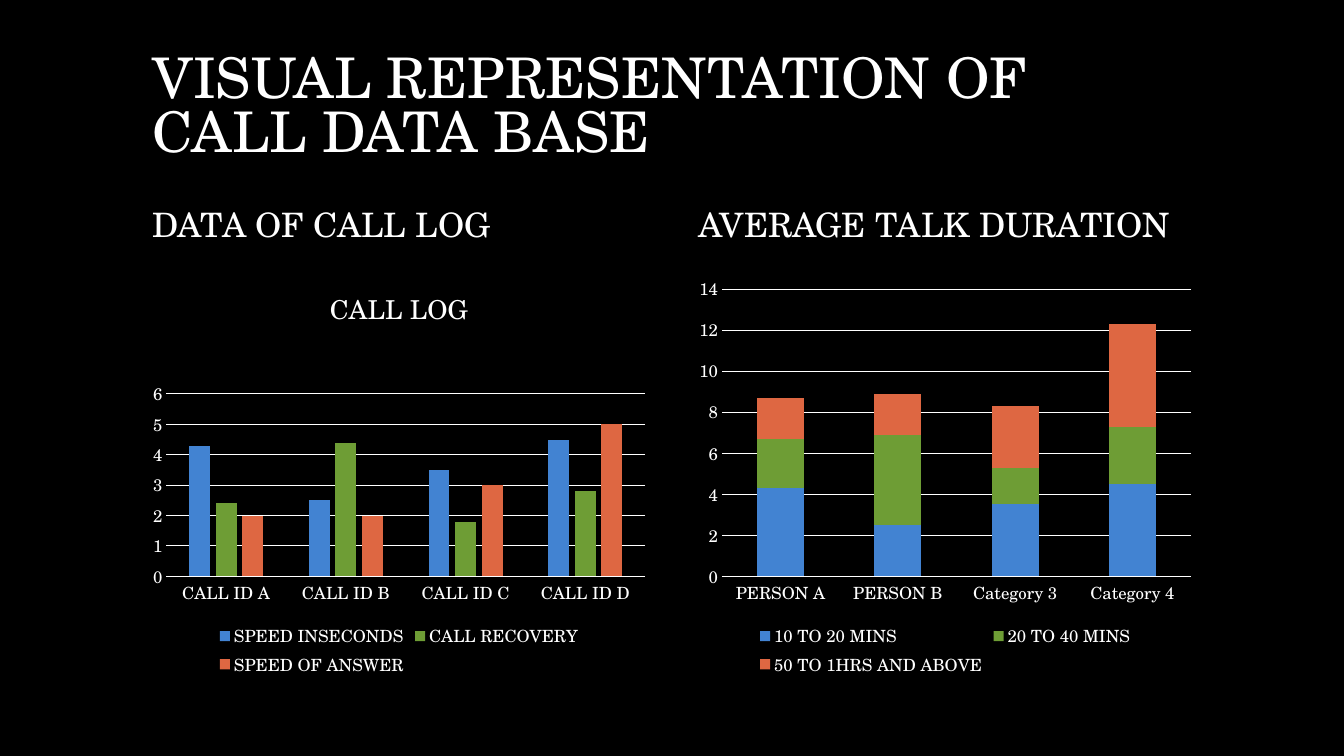
from pptx import Presentation
from pptx.chart.data import CategoryChartData
from pptx.dml.color import RGBColor
from pptx.enum.chart import XL_CHART_TYPE, XL_LEGEND_POSITION, XL_TICK_MARK
from pptx.enum.text import MSO_ANCHOR
from pptx.util import Inches, Pt

FONT = "TeX Gyre Schola"
COLORS = {
    "background": "000000",
    "text": "FFFFFF",
    "first": "4283D2",
    "second": "6E9D35",
    "third": "DE6742",
}
SERIES_COLORS = ("first", "second", "third")
SERIES_VALUES = ((4.3, 2.5, 3.5, 4.5), (2.4, 4.4, 1.8, 2.8), (2, 2, 3, 5))

# Grid of twelve cells to the inch
LEFT_COLUMN, RIGHT_COLUMN = 17, 82
PANEL_WIDTH, TITLE_WIDTH = 61, 126
TITLE_ROW, HEADING_ROW, CHART_ROW = 5, 22, 32
TITLE_HEIGHT, HEADING_HEIGHT, CHART_HEIGHT = 15, 10, 49


def cells(*counts):
    return [Inches(count / 12) for count in counts]


def color(name):
    return RGBColor.from_string(COLORS[name])


def style_font(font, size):
    font.name = FONT
    font.size = Pt(size)
    font.bold = False
    font.color.rgb = color("text")


def add_heading(slide, place, wording, size, anchor, spacing):
    frame = slide.shapes.add_textbox(*cells(*place)).text_frame
    frame.word_wrap = True
    frame.vertical_anchor = anchor
    paragraph = frame.paragraphs[0]
    paragraph.line_spacing = spacing
    run = paragraph.add_run()
    run.text = wording
    style_font(run.font, size)


def style_axes(chart):
    for axis in (chart.category_axis, chart.value_axis):
        axis.major_tick_mark = XL_TICK_MARK.NONE
        axis.minor_tick_mark = XL_TICK_MARK.NONE
        style_font(axis.tick_labels.font, 12)
    chart.value_axis.format.line.fill.background()
    chart.value_axis.has_major_gridlines = True
    for line in (chart.category_axis.format.line,
                 chart.value_axis.major_gridlines.format.line):
        line.color.rgb = color("text")
        line.width = Pt(0.75)


def add_call_chart(slide, column, kind, categories, names, gap, overlap, title=None):
    call_data = CategoryChartData()
    call_data.categories = categories
    for name, values in zip(names, SERIES_VALUES):
        call_data.add_series(name, values)
    place = cells(column, CHART_ROW, PANEL_WIDTH, CHART_HEIGHT)
    chart = slide.shapes.add_chart(kind, *place, call_data).chart
    style_font(chart.font, 10)
    style_axes(chart)

    # Title and legend
    chart.has_title = title is not None
    if title:
        run = chart.chart_title.text_frame.paragraphs[0].add_run()
        run.text = title
        style_font(run.font, 18.6)
        # An empty second line keeps the title's depth
        chart.chart_title.text_frame.add_paragraph()
        chart.chart_title.include_in_layout = False
    chart.has_legend = True
    chart.legend.position = XL_LEGEND_POSITION.BOTTOM
    chart.legend.include_in_layout = False
    style_font(chart.legend.font, 12)

    # Columns
    plot = chart.plots[0]
    plot.vary_by_categories = False
    plot.gap_width = gap
    plot.overlap = overlap
    for series, name in zip(plot.series, SERIES_COLORS):
        series.format.fill.solid()
        series.format.fill.fore_color.rgb = color(name)


def main():
    presentation = Presentation()
    presentation.slide_width = Inches(13.33)
    presentation.slide_height = Inches(7.5)
    slide = presentation.slides.add_slide(presentation.slide_layouts[6])
    slide.background.fill.solid()
    slide.background.fill.fore_color.rgb = color("background")

    # Headings
    add_heading(slide, (LEFT_COLUMN, TITLE_ROW, TITLE_WIDTH, TITLE_HEIGHT),
                "VISUAL REPRESENTATION OF CALL DATA BASE", 40, MSO_ANCHOR.BOTTOM, 0.8)
    for column, wording in ((LEFT_COLUMN, "DATA OF CALL LOG"),
                            (RIGHT_COLUMN, "AVERAGE TALK DURATION")):
        add_heading(slide, (column, HEADING_ROW, PANEL_WIDTH, HEADING_HEIGHT),
                    wording, 24, MSO_ANCHOR.MIDDLE, 0.9)

    # Charts
    add_call_chart(slide, LEFT_COLUMN, XL_CHART_TYPE.COLUMN_CLUSTERED,
                   [f"CALL ID {letter}" for letter in "ABCD"],
                   ("SPEED INSECONDS", "CALL RECOVERY", "SPEED OF ANSWER"),
                   219, -27, "CALL LOG")
    add_call_chart(slide, RIGHT_COLUMN, XL_CHART_TYPE.COLUMN_STACKED,
                   ("PERSON A", "PERSON B", "Category 3", "Category 4"),
                   ("10 TO 20 MINS", "20 TO 40 MINS", "50 TO 1HRS AND ABOVE"),
                   150, 100)

    presentation.save("out.pptx")


if __name__ == "__main__":
    main()
